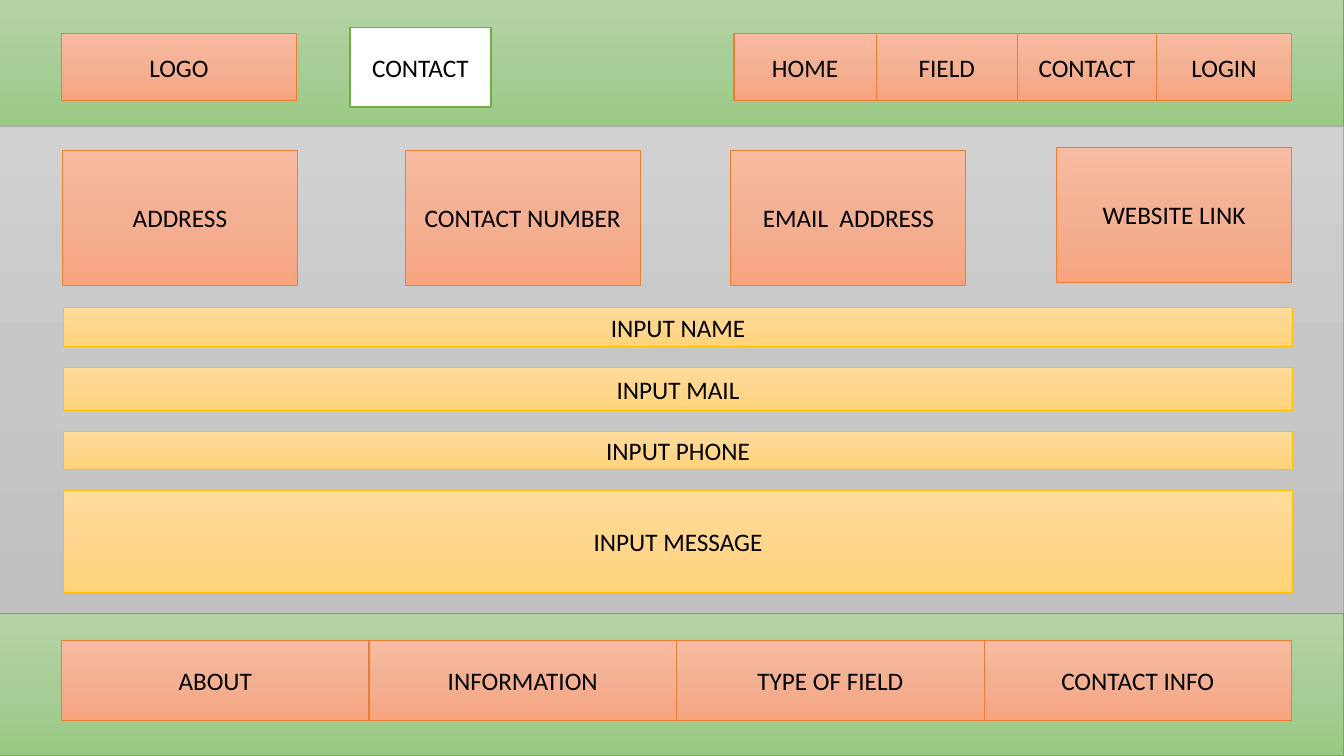
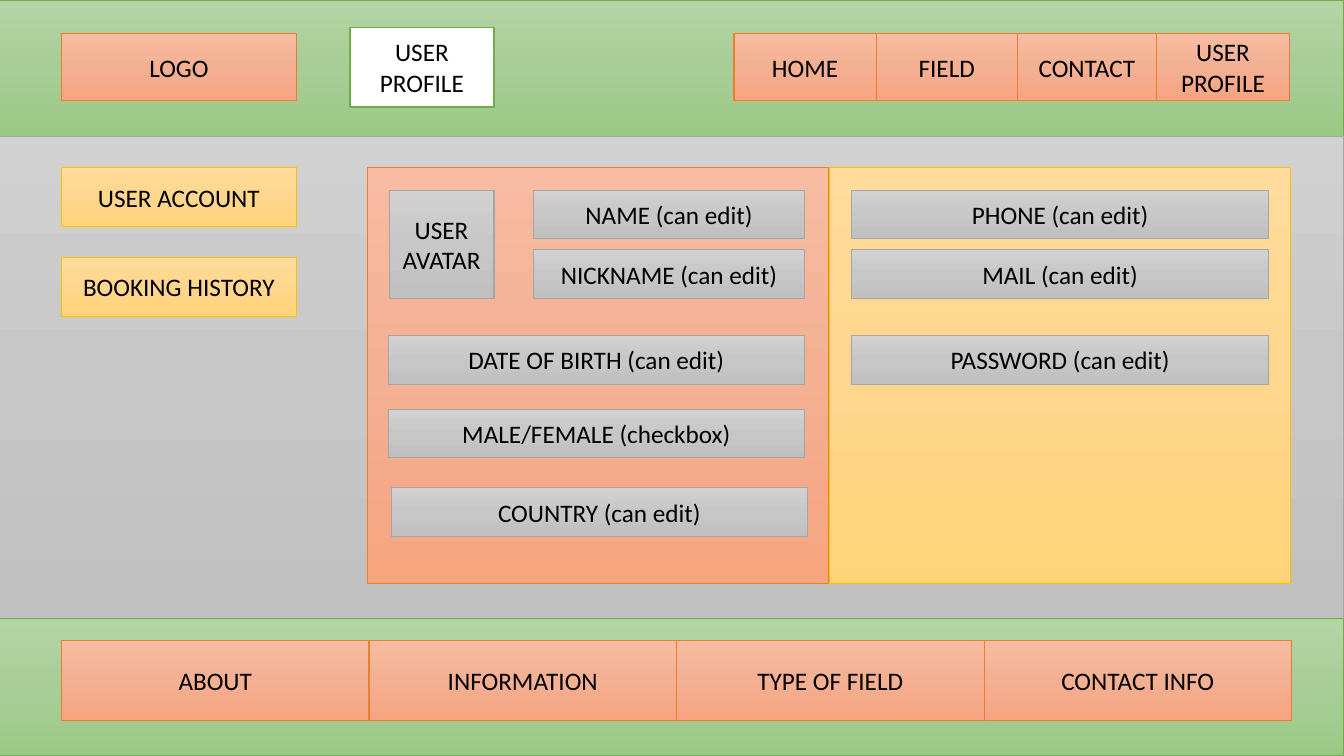
import copy
from collections import namedtuple

import pptx
import pptx.util
import pptx.dml.color
import pptx.enum.shapes
import pptx.enum.text
import pptx.oxml
import pptx.oxml.ns

Inches = pptx.util.Inches
Pt = pptx.util.Pt
RGBColor = pptx.dml.color.RGBColor
Shape = pptx.enum.shapes.MSO_SHAPE

BLACK = RGBColor(0x00, 0x00, 0x00)
WHITE = RGBColor(0xFF, 0xFF, 0xFF)

Look = namedtuple("Look", "top middle bottom line")
GREEN = Look(RGBColor(0xB4, 0xD4, 0xA5), RGBColor(0xA8, 0xCD, 0x97),
             RGBColor(0x9B, 0xC9, 0x85), RGBColor(0x70, 0xAD, 0x47))
ORANGE = Look(RGBColor(0xF7, 0xBC, 0xA2), RGBColor(0xF4, 0xB0, 0x93),
              RGBColor(0xF7, 0xA4, 0x7F), RGBColor(0xED, 0x7D, 0x31))
GRAY = Look(RGBColor(0xD1, 0xD1, 0xD1), RGBColor(0xC7, 0xC7, 0xC7),
            RGBColor(0xC0, 0xC0, 0xC0), RGBColor(0xA5, 0xA5, 0xA5))
YELLOW = Look(RGBColor(0xFF, 0xDC, 0x9B), RGBColor(0xFF, 0xD6, 0x8D),
              RGBColor(0xFF, 0xD4, 0x78), RGBColor(0xFF, 0xC0, 0x00))

FONT = "Calibri"
TEXT_SIZE = Pt(18)
SLIDE_WIDTH = 13.33
SLIDE_HEIGHT = 7.5
MARGIN = 0.61
SIDE_WIDTH = 2.33
FIELD_HEIGHT = 0.48
TITLE_ONLY_LAYOUT = 5


class Wireframe:
    """Holds the shared page style and the slide being drawn."""

    def __init__(self):
        self.presentation = pptx.Presentation()
        self.presentation.slide_width = Inches(SLIDE_WIDTH)
        self.presentation.slide_height = Inches(SLIDE_HEIGHT)
        self.slide = None

    def page(self, title, title_width, body_top, footer_top, last_link, last_width):
        """Start a slide with its bands, title tab, top links and footer links."""
        layout = self.presentation.slide_layouts[TITLE_ONLY_LAYOUT]
        self.slide = self.presentation.slides.add_slide(layout)
        self.band(0, body_top, GREEN)
        self.band(body_top, footer_top, GRAY)
        self.band(footer_top, SLIDE_HEIGHT, GREEN)
        self.box("LOGO", MARGIN, 0.33, SIDE_WIDTH, 0.67, ORANGE)
        self.row(("HOME", "FIELD", "CONTACT", last_link), 7.28, 0.33,
                 (1.41, 1.4, 1.38, last_width), 0.67)
        self.row(("ABOUT", "INFORMATION", "TYPE OF FIELD", "CONTACT INFO"),
                 MARGIN, 6.35, (3.05,) * 4, 0.8)
        self.title(title, title_width)

    def band(self, top, bottom, look):
        self.box("", 0, top, SLIDE_WIDTH, bottom - top, look, Shape.RECTANGLE)

    def row(self, texts, left, top, widths, height):
        """Draw touching orange boxes from left to right."""
        for text, width in zip(texts, widths):
            self.box(text, left, top, width, height, ORANGE)
            left += width

    def box(self, text, left, top, width, height, look, kind=Shape.FLOWCHART_PROCESS):
        shape = self.slide.shapes.add_shape(
            kind, Inches(left), Inches(top), Inches(width), Inches(height))
        shape.shadow.inherit = False
        shape.fill.gradient()
        first_stop = next(shape.element.iter(pptx.oxml.ns.qn("a:gs")))
        first_stop.addnext(copy.deepcopy(first_stop))
        colors = (look.top, look.middle, look.bottom)
        for index, (stop, color) in enumerate(zip(shape.fill.gradient_stops, colors)):
            stop.position = index / 2
            stop.color.rgb = color
        shape.fill.gradient_angle = 270
        shape.line.color.rgb = look.line
        shape.line.width = Pt(0.75)
        if text:
            self.label(shape, text)

    def title(self, text, width):
        """Turn the title placeholder into a white rounded tab in front of the header."""
        shape = self.slide.shapes.title
        shape.left, shape.top = Inches(3.47), Inches(0.27)
        shape.width, shape.height = Inches(width), Inches(0.79)
        shape.element.spPr.append(pptx.oxml.parse_xml(
            f'<a:prstGeom {pptx.oxml.ns.nsdecls("a")} prst="roundRect"><a:avLst/></a:prstGeom>'))
        shape.fill.solid()
        shape.fill.fore_color.rgb = WHITE
        shape.line.color.rgb = GREEN.line
        shape.line.width = Pt(1)
        self.label(shape, text)
        shape.element.getparent().append(shape.element)

    def label(self, shape, text):
        frame = shape.text_frame
        frame.text = text
        frame.word_wrap = True
        frame.auto_size = pptx.enum.text.MSO_AUTO_SIZE.NONE
        frame.vertical_anchor = pptx.enum.text.MSO_ANCHOR.MIDDLE
        paragraph = frame.paragraphs[0]
        paragraph.alignment = pptx.enum.text.PP_ALIGN.CENTER
        paragraph.font.name = FONT
        paragraph.font.size = TEXT_SIZE
        paragraph.font.color.rgb = BLACK


def draw_contact_page(wireframe):
    wireframe.page("CONTACT", 1.4, 1.26, 6.09, "LOGIN", 1.34)
    for text, left, top in (
        ("ADDRESS", 0.62, 1.49),
        ("CONTACT NUMBER", 4.02, 1.49),
        ("EMAIL  ADDRESS", 7.25, 1.49),
        ("WEBSITE LINK", 10.48, 1.46),
    ):
        wireframe.box(text, left, top, SIDE_WIDTH, 1.34, ORANGE)
    for text, top, height in (
        ("INPUT NAME", 3.05, 0.39),
        ("INPUT MAIL", 3.65, 0.42),
        ("INPUT PHONE", 4.28, 0.38),
        ("INPUT MESSAGE", 4.87, 1.01),
    ):
        wireframe.box(text, 0.63, top, 12.19, height, YELLOW)


def draw_profile_page(wireframe):
    wireframe.page("USER PROFILE", 1.43, 1.35, 6.14, "USER PROFILE", 1.32)
    for text, top in (("USER ACCOUNT", 1.66), ("BOOKING HISTORY", 2.55)):
        wireframe.box(text, MARGIN, top, SIDE_WIDTH, 0.59, YELLOW)
    for left, look in ((3.65, ORANGE), (8.23, YELLOW)):
        wireframe.box("", left, 1.66, 4.57, 4.13, look)
    wireframe.box("USER AVATAR", 3.86, 1.89, 1.04, 1.07, GRAY)
    for text, left, top, width in (
        ("NAME (can edit)", 5.29, 1.89, 2.69),
        ("NICKNAME (can edit)", 5.29, 2.48, 2.69),
        ("DATE OF BIRTH (can edit)", 3.85, 3.33, 4.13),
        ("MALE/FEMALE (checkbox)", 3.85, 4.06, 4.13),
        ("COUNTRY (can edit)", 3.88, 4.84, 4.13),
        ("PHONE (can edit)", 8.45, 1.89, 4.13),
        ("MAIL (can edit)", 8.45, 2.48, 4.13),
        ("PASSWORD (can edit)", 8.45, 3.33, 4.13),
    ):
        wireframe.box(text, left, top, width, FIELD_HEIGHT, GRAY)


def main():
    wireframe = Wireframe()
    draw_contact_page(wireframe)
    draw_profile_page(wireframe)
    wireframe.presentation.save("out.pptx")


if __name__ == "__main__":
    main()
